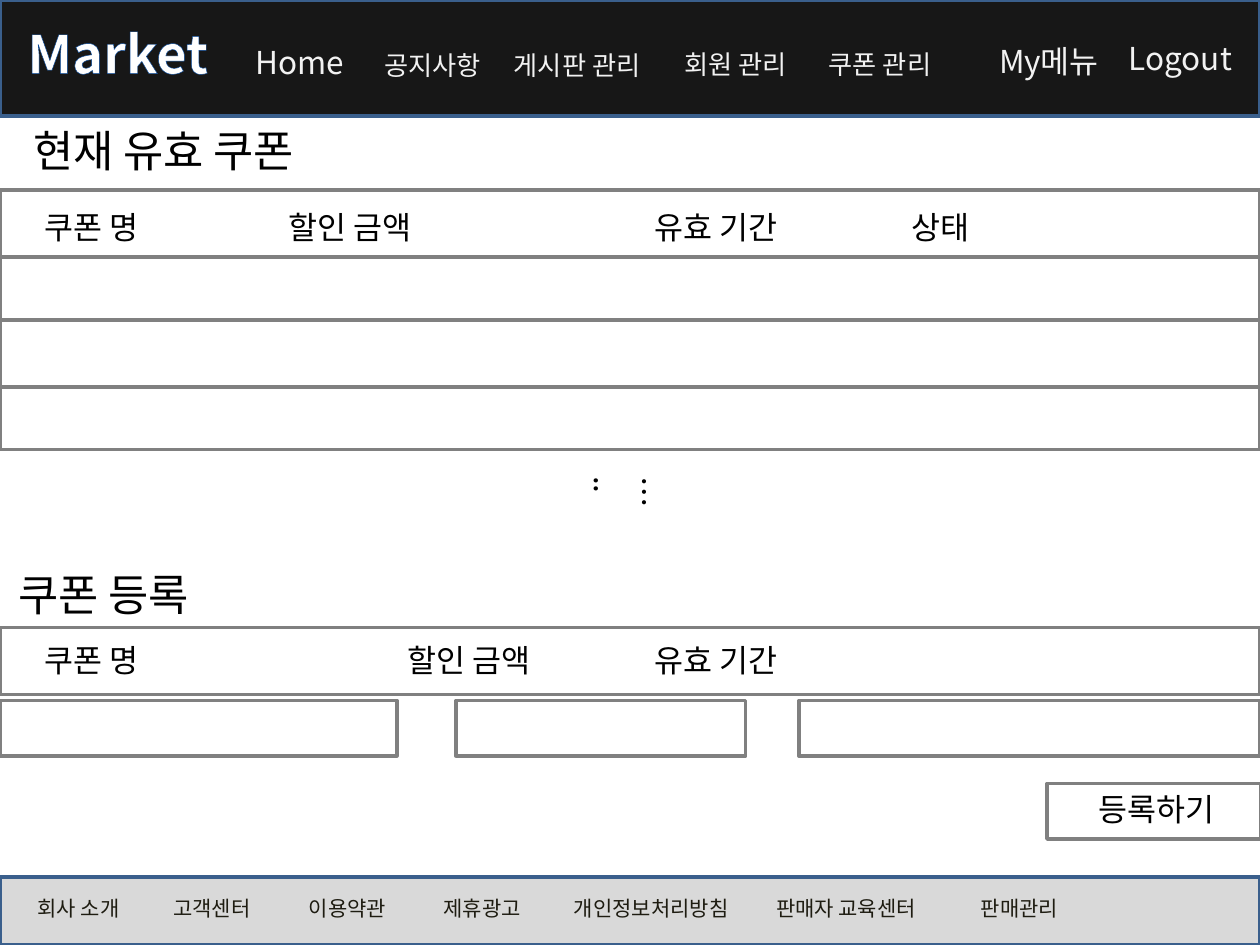
from dataclasses import dataclass

from lxml.etree import Element, SubElement
from pptx import Presentation
from pptx.dml.color import RGBColor
from pptx.enum.shapes import MSO_SHAPE as Shape
from pptx.enum.text import MSO_AUTO_SIZE as AutoSize
from pptx.oxml.ns import qn
from pptx.util import Pt


@dataclass(frozen=True)
class Theme:
    font: str = "Noto Sans CJK KR"
    bar: str = "171717"
    bar_line: str = "3A5F8C"
    footer: str = "D9D9D9"
    footer_text: str = "1E1C11"
    nav_text: str = "F2F2F2"
    white: str = "FFFFFF"
    black: str = "000000"
    box_line: str = "808080"
    logo_outline: str = "054697"
    logo: int = 30
    title: int = 25
    body: int = 18
    menu: int = 15
    small: int = 12
    line: int = 2
    inset: float = 7.2


THEME = Theme()
WIDTH, HEIGHT = 720, 540

# Content: (text, left, top, width, size)
NAVIGATION = [
    ("Home", 139, 20.9, 73, THEME.body),
    ("공지사항", 212.4, 24.5, 85, THEME.menu),
    ("게시판 관리", 286.5, 24.5, 98, THEME.menu),
    ("회원 관리", 383.8, 23.8, 98, THEME.menu),
    ("쿠폰 관리", 466.5, 23.8, 98, THEME.menu),
    ("My메뉴", 563.8, 20.2, 96.5, THEME.body),
    ("Logout", 638, 18.7, 73.4, THEME.body),
]
# (text, left, top, width)
TITLES = [("현재 유효 쿠폰", 12, 67, 214), ("쿠폰 등록", 3.4, 321, 174)]
# (labels, tab stops, top)
HEADINGS = [
    (["쿠폰 명", "할인 금액", "유효 기간", "상태"], [139.5, 348.5, 495], 115.2),
    (["쿠폰 명", "할인 금액", "유효 기간"], [207, 348.5], 362.9),
]
FOOTER = ["회사 소개", "고객센터", "이용약관", "제휴광고",
          "개인정보처리방침", "판매자 교육센터", "판매관리"]
FOOTER_STOPS = [77.5, 155, 232, 306.5, 422, 539]

# Boxes
LIST_TOP, LIST_HEIGHT, ROW_HEIGHT = 108.7, 148.3, 38.2
ROW_TOPS = [146.9, 182.9]
FORM_TOP, FIELD_TOP, FIELD_HEIGHT = 358.6, 400.3, 31.7
FIELDS = [(0, 226.8), (260.6, 165.6), (456.5, 263.5)]  # left, width
BUTTON_LEFT, BUTTON_TOP, BUTTON_WIDTH = 598.3, 447.8, 122.4
BAR_HEIGHT, FOOTER_TOP = 66.2, 501.1

presentation = Presentation()
presentation.slide_width, presentation.slide_height = Pt(WIDTH), Pt(HEIGHT)
slide = presentation.slides.add_slide(presentation.slide_layouts[6])


def add_box(left, top, width, height, fill=THEME.white, line=THEME.box_line):
    shape = slide.shapes.add_shape(
        Shape.RECTANGLE, Pt(left), Pt(top), Pt(width), Pt(height))
    shape.shadow.inherit = False
    shape.fill.solid()
    shape.fill.fore_color.rgb = RGBColor.from_string(fill)
    shape.line.color.rgb = RGBColor.from_string(line)
    shape.line.width = Pt(THEME.line)


def add_text(text, left, top, width, size, color=THEME.black, height=None,
             indent=0, stops=(), bold=False):
    shape = slide.shapes.add_textbox(
        Pt(left), Pt(top), Pt(width), Pt(height or round(size * 1.2 + 7.2, 1)))
    frame = shape.text_frame
    frame.word_wrap = True
    frame.auto_size = AutoSize.SHAPE_TO_FIT_TEXT
    frame.margin_left = Pt(THEME.inset + indent)
    paragraph = frame.paragraphs[0]
    paragraph.text = text
    font = paragraph.font
    font.name, font.size, font.bold = THEME.font, Pt(size), bold
    font.color.rgb = RGBColor.from_string(color)

    # East Asian font and tab stops
    defaults = next(shape.element.iter(qn("a:defRPr")))
    SubElement(defaults, qn("a:ea"), typeface=THEME.font)
    if stops:
        tabs = Element(qn("a:tabLst"))
        for stop in stops:
            SubElement(tabs, qn("a:tab"), pos=str(int(Pt(stop))), algn="l")
        defaults.addprevious(tabs)
    return shape


# Top bar
add_box(0, 0, WIDTH, BAR_HEIGHT, THEME.bar, THEME.bar_line)
for label, left, top, width, size in NAVIGATION:
    add_text(label, left, top, width, size, THEME.nav_text)
logo = add_text("Market", 8.6, 8.6, 164, THEME.logo, THEME.white, bold=True)
outline = Element(qn("a:ln"), w=str(int(Pt(1))))
SubElement(SubElement(outline, qn("a:solidFill")), qn("a:srgbClr"),
           val=THEME.logo_outline)
next(logo.element.iter(qn("a:defRPr"))).insert(0, outline)

# Footer
add_box(0, FOOTER_TOP, WIDTH, HEIGHT - FOOTER_TOP, THEME.footer, THEME.bar_line)
add_text("\t".join(FOOTER), 14.4, 508.3, 686, THEME.small, THEME.footer_text,
         height=16.6, stops=FOOTER_STOPS)

# Coupon list and registration form
add_box(0, LIST_TOP, WIDTH, LIST_HEIGHT)
for top in [*ROW_TOPS, FORM_TOP]:
    add_box(0, top, WIDTH, ROW_HEIGHT)
for title, left, top, width in TITLES:
    add_text(title, left, top, width, THEME.title)
for labels, stops, top in HEADINGS:
    add_text("\t".join(labels), 9.4, top, 699, THEME.body, indent=9, stops=stops)
for left, width in FIELDS:
    add_box(left, FIELD_TOP, width, FIELD_HEIGHT)

# Continuation dots, set vertically
dots = add_text("…..", 337.7, 265, 45.4, THEME.body, height=33.1)
dots.text_frame.word_wrap = True
next(dots.element.iter(qn("a:bodyPr"))).set("vert", "eaVert")

# Register button
add_box(BUTTON_LEFT, BUTTON_TOP, BUTTON_WIDTH, FIELD_HEIGHT)
add_text("등록하기", 620.6, BUTTON_TOP, 96.5, THEME.body)

presentation.save("out.pptx")
